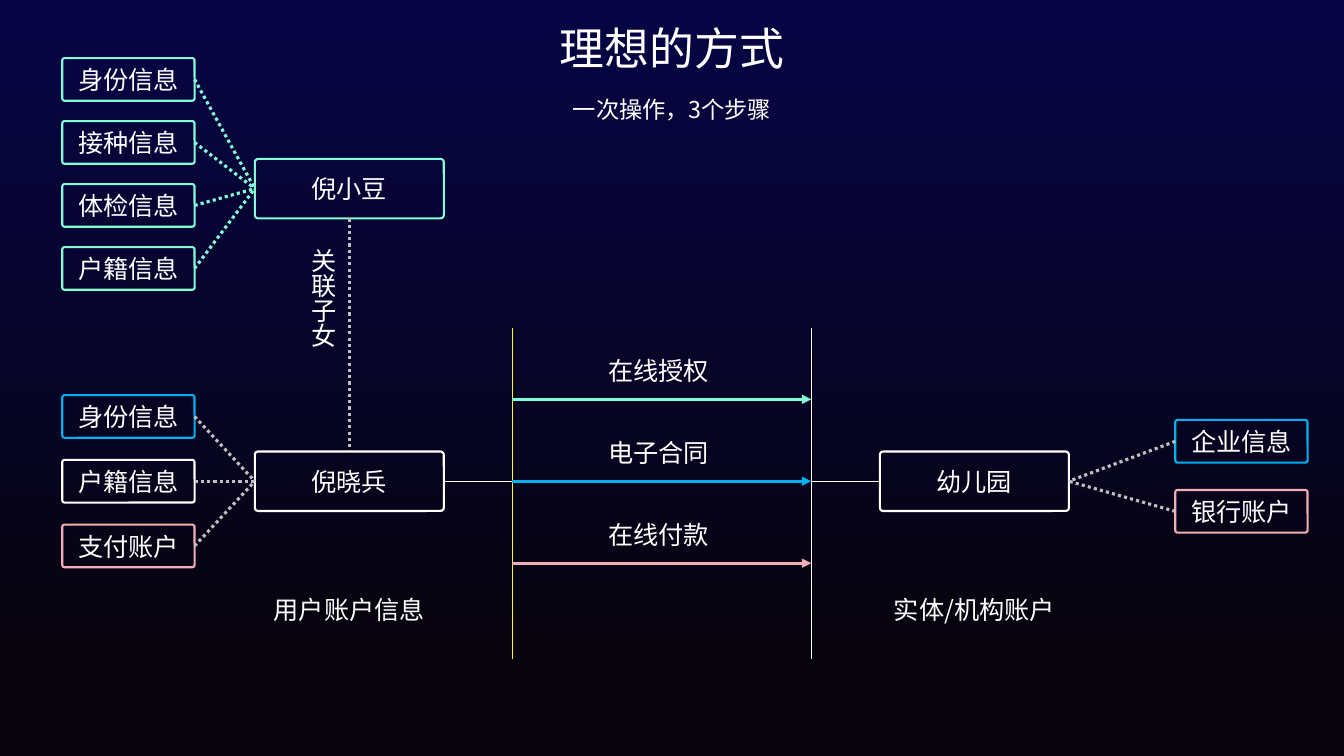
from dataclasses import dataclass

from lxml.etree import SubElement
from pptx import Presentation
from pptx.dml.color import RGBColor
from pptx.enum.dml import MSO_LINE
from pptx.enum.shapes import MSO_CONNECTOR, MSO_SHAPE
from pptx.enum.text import MSO_ANCHOR, MSO_AUTO_SIZE, PP_ALIGN
from pptx.oxml.ns import qn
from pptx.util import Pt


@dataclass
class Theme:
    font: str = "Noto Sans CJK SC"
    title_size: float = 32
    subtitle_size: float = 16.6
    label_size: float = 18
    sky: str = "070446"
    night: str = "07040E"
    white: str = "FFFFFF"
    grey: str = "BFBFBF"
    yellow: str = "FFFF00"
    mint: str = "83FCD8"
    blue: str = "00B0F0"
    pink: str = "F2AEB4"


theme = Theme()
presentation = Presentation()
presentation.slide_width, presentation.slide_height = Pt(960), Pt(540)
slide = presentation.slides.add_slide(presentation.slide_layouts[6])

background = slide.background.fill
background.gradient()
background.gradient_angle = 270
for stop, color, position in zip(background.gradient_stops, (theme.sky, theme.night), (0, 0.87)):
    stop.color.rgb = RGBColor.from_string(color)
    stop.position = position


def add_label(text, left, top, width, height, outline=None, size=theme.label_size):
    """Add centred text, inside a rounded box when an outline colour is given."""
    area = Pt(left), Pt(top), Pt(width), Pt(height)
    if outline:
        label = slide.shapes.add_shape(MSO_SHAPE.ROUNDED_RECTANGLE, *area)
        label.adjustments[0] = 0.055
        label.shadow.inherit = False
        label.fill.background()
        label.line.color.rgb = RGBColor.from_string(outline)
        label.line.width = Pt(1.5)
    else:
        label = slide.shapes.add_textbox(*area)
    frame = label.text_frame
    frame.word_wrap = True
    frame.vertical_anchor = MSO_ANCHOR.MIDDLE
    frame.text = text
    paragraph = frame.paragraphs[0]
    paragraph.alignment = PP_ALIGN.CENTER
    font = paragraph.runs[0].font
    font.name, font.size = theme.font, Pt(size)
    font.color.rgb = RGBColor.from_string(theme.white)
    SubElement(paragraph.runs[0]._r.rPr, qn("a:ea"), typeface=theme.font)
    return label


def add_line(x1, y1, x2, y2, color, width, dotted=False):
    line = slide.shapes.add_connector(MSO_CONNECTOR.STRAIGHT, Pt(x1), Pt(y1), Pt(x2), Pt(y2))
    line.line.color.rgb = RGBColor.from_string(color)
    line.line.width = Pt(width)
    if dotted:
        line.line.dash_style = MSO_LINE.ROUND_DOT
    SubElement(line._element.spPr, qn("a:effectLst"))
    return line


# Headings
title = add_label("理想的方式", 64, 11.5, 832, 50.5, size=theme.title_size)
title.text_frame.paragraphs[0].line_spacing = 0.9
subtitle = add_label("一次操作，3个步骤", 64, 67.5, 832, 24, size=theme.subtitle_size)
subtitle.text_frame.paragraphs[0].line_spacing = 0.8

# People and the kindergarten, each with its records
party_width, party_height = 135, 42.5
record_width, record_height = 94.5, 30.5
parent_left, school_left = 182, 628.5
child_top, parent_top = 113.5, 322.5
flow_y = parent_top + party_height / 2
left_records, right_records = 44.5, 839.5

child = add_label("倪小豆", parent_left, child_top, party_width, party_height, theme.mint)
parent = add_label("倪晓兵", parent_left, parent_top, party_width, party_height, theme.white)
school = add_label("幼儿园", school_left, parent_top, party_width, party_height, theme.white)

# party, party side, record side, link colour, records left, first top, pitch, records
record_groups = [
    (child, 1, 3, theme.mint, left_records, 41.5, 45,
     [("身份信息", theme.mint), ("接种信息", theme.mint),
      ("体检信息", theme.mint), ("户籍信息", theme.mint)]),
    (parent, 1, 3, theme.grey, left_records, 282.25, 46.25,
     [("身份信息", theme.blue), ("户籍信息", theme.white), ("支付账户", theme.pink)]),
    (school, 3, 1, theme.grey, right_records, 300, 50,
     [("企业信息", theme.blue), ("银行账户", theme.pink)]),
]
for party, party_side, record_side, link_color, left, first_top, pitch, records in record_groups:
    for row, (name, outline) in enumerate(records):
        record = add_label(name, left, first_top + row * pitch,
                           record_width, record_height, outline)
        link = add_line(0, 0, 0, 0, link_color, 2.25, dotted=True)
        link.begin_connect(record, record_side)
        link.end_connect(party, party_side)

family_link = add_line(0, 0, 0, 0, theme.grey, 2.25, dotted=True)
family_link.begin_connect(child, 2)
family_link.end_connect(parent, 0)
family_label = add_label("关联子女", 209, 170, 36, 129.5)
family_label.text_frame.vertical_anchor = MSO_ANCHOR.TOP
family_label.text_frame.auto_size = MSO_AUTO_SIZE.SHAPE_TO_FIT_TEXT
family_label.text_frame._txBody.bodyPr.set("vert", "eaVert")

# Boundaries between the two sides
user_edge, school_edge = 366, 579.5
for edge, color in ((user_edge, theme.yellow), (school_edge, theme.white)):
    add_line(edge, 234, edge, 471, color, 0.5)
user_lead = add_line(0, 0, user_edge, flow_y, theme.white, 0.5)
user_lead.begin_connect(parent, 3)
school_lead = add_line(school_edge, flow_y, 0, 0, theme.white, 0.5)
school_lead.end_connect(school, 1)

# The three steps
step_pitch = 58.5
steps = [("在线授权", theme.mint), ("电子合同", theme.blue), ("在线付款", theme.pink)]
for row, (step, color) in enumerate(steps):
    step_y = flow_y + (row - 1) * step_pitch
    arrow = add_line(user_edge, step_y, school_edge, step_y, color, 2.25)
    SubElement(arrow.line._get_or_add_ln(), qn("a:tailEnd"), type="triangle")
    add_label(step, 404.5, step_y - 35, 132, 29)

# Captions
for caption, left in (("用户账户信息", 176.5), ("实体/机构账户", 623)):
    add_label(caption, left, 421, 146, 29)

presentation.save("out.pptx")
